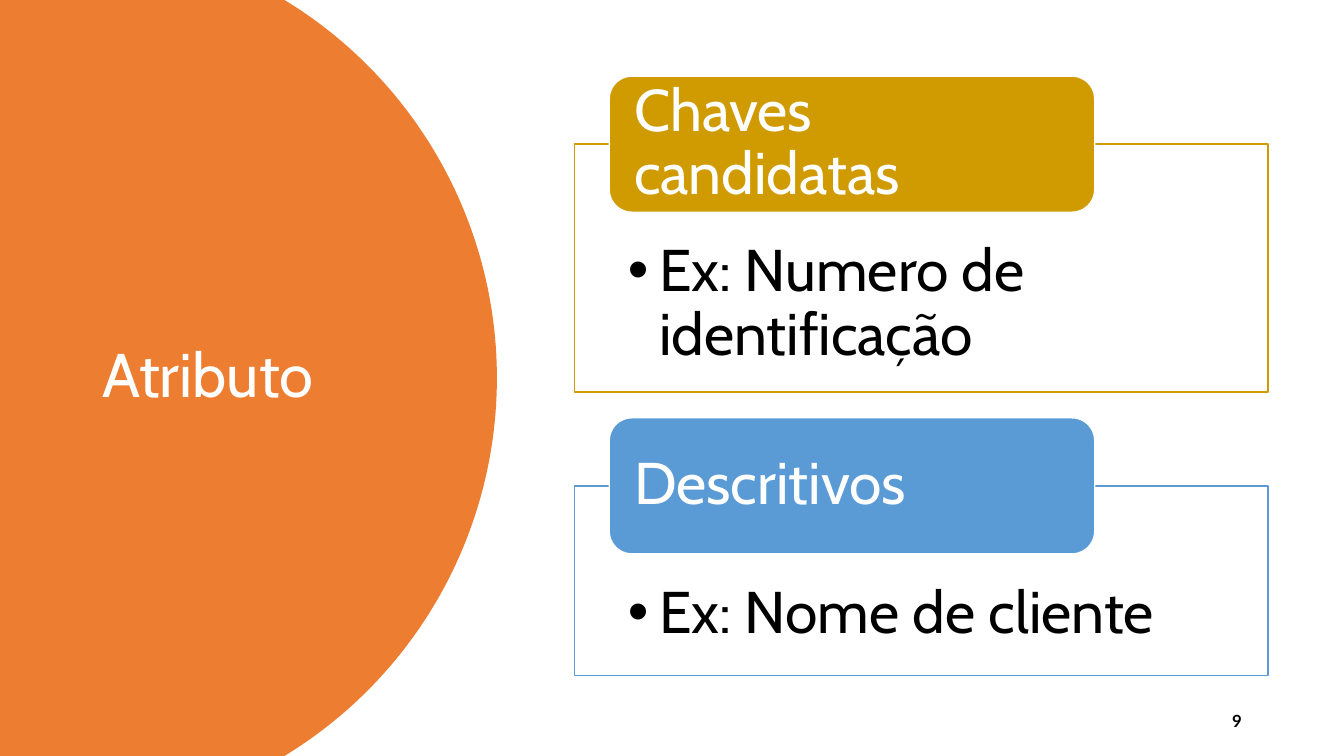
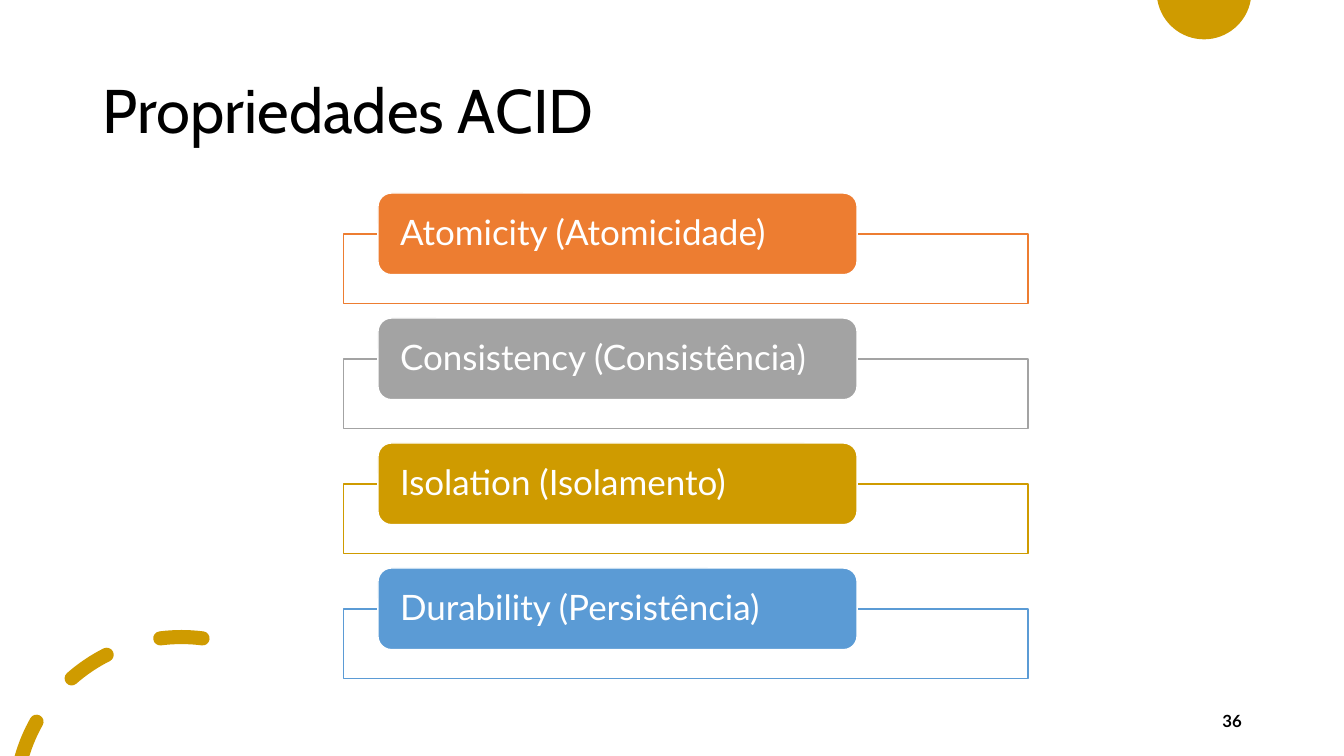
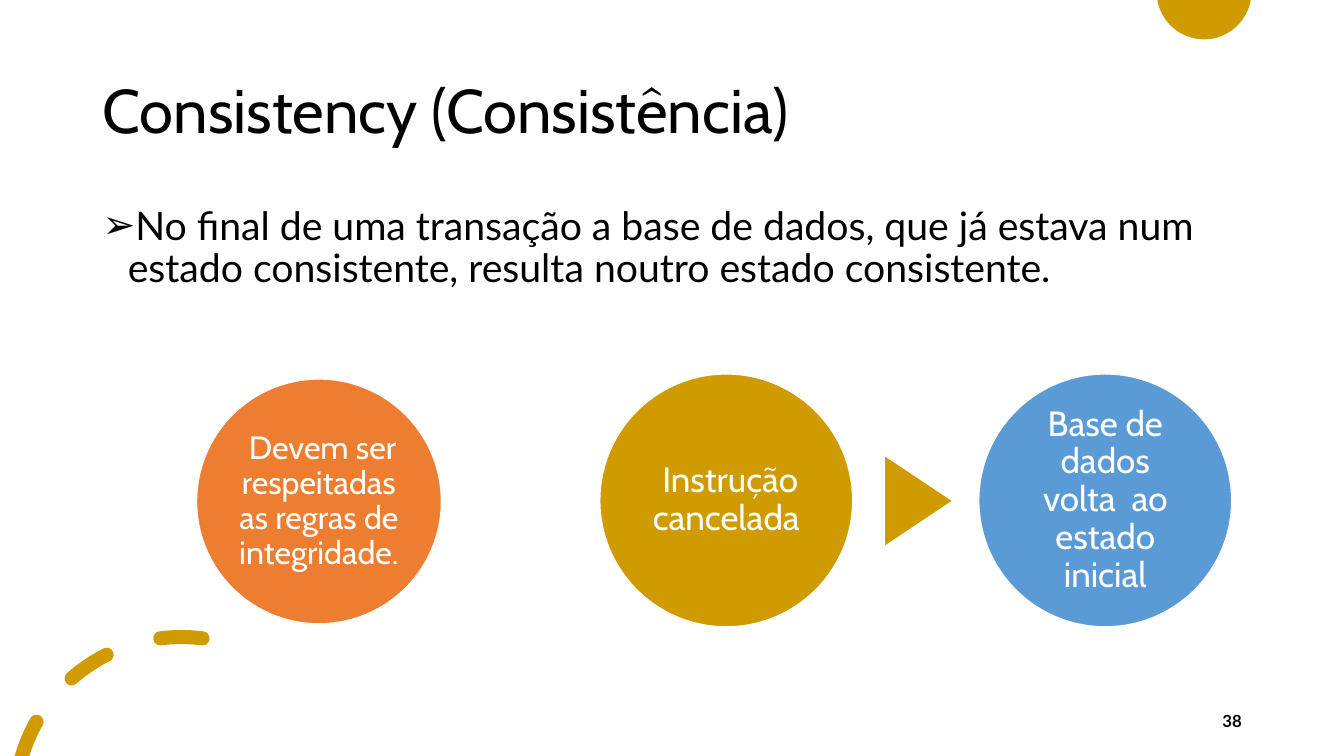
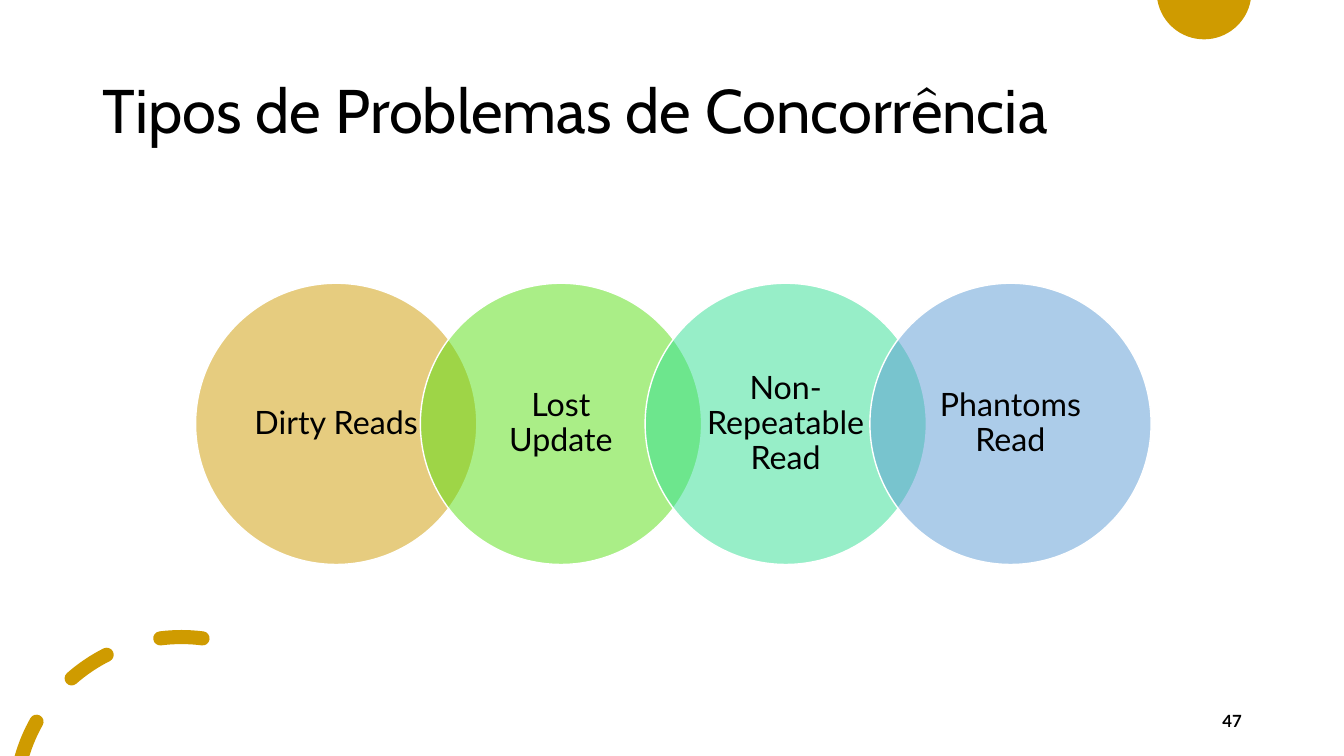
import math

from lxml import etree
from pptx import Presentation
from pptx import util as u
from pptx.dml import color
from pptx.enum import shapes, text
from pptx.oxml import ns

PX = 9144  # 100 px to the inch
WIDTH, HEIGHT = 1333, 750
COLORS = {
    "white": "FFFFFF", "black": "000000", "gold": "CF9B00", "orange": "ED7D31",
    "grey": "A3A3A3", "blue": "5B9BD5", "green": "57DF10", "mint": "31DF93",
}
HEAD, BODY = "Cabin", "Lato"
ALIGN, ANCHOR = text.PP_ALIGN, text.MSO_ANCHOR
KIND = shapes.MSO_SHAPE


def emu(*lengths):
    return [u.Emu(round(length * PX)) for length in lengths]


def rgb(name):
    return color.RGBColor.from_string(COLORS[name])


def add_bullet(para, mark, indent):
    props = para._p.get_or_add_pPr()
    props.set("marL", str(indent * PX))
    props.set("indent", str(-indent * PX))
    etree.SubElement(props, ns.qn("a:buFont")).set("typeface", "Arial")
    etree.SubElement(props, ns.qn("a:buChar")).set("char", mark)


def write(box, words, size, font=BODY, ink="black", bold=False, align=ALIGN.LEFT,
          anchor=ANCHOR.MIDDLE, insets=(10, 5, 10, 5), spacing=0.9,
          bullet=None, indent=0, tail=None):
    """Fill the box with one paragraph; tail is an extra (words, font) span."""
    frame = box.text_frame
    frame.word_wrap = True
    frame.auto_size = text.MSO_AUTO_SIZE.NONE
    frame.vertical_anchor = anchor
    (frame.margin_left, frame.margin_top,
     frame.margin_right, frame.margin_bottom) = emu(*insets)
    para = frame.paragraphs[0]
    para.alignment, para.line_spacing = align, spacing
    if bullet:
        add_bullet(para, bullet, indent)
    for part, face in [(words, font)] + ([tail] if tail else []):
        span = para.add_run()
        span.text = part
        span.font.name, span.font.size, span.font.bold = face, u.Pt(size), bold
        span.font.color.rgb = rgb(ink)


def paint(shape, fill, line=None, opacity=100):
    shape.shadow.inherit = False
    shape.fill.solid()
    shape.fill.fore_color.rgb = rgb(fill)
    if opacity < 100:
        tint = shape.fill._xPr.find(".//" + ns.qn("a:srgbClr"))
        etree.SubElement(tint, ns.qn("a:alpha")).set("val", str(opacity * 1000))
    if line:
        shape.line.color.rgb = rgb(line)
        shape.line.width = u.Pt(1)
    else:
        shape.line.fill.background()
    return shape


def add_shape(page, kind, box, fill, **style):
    return paint(page.shapes.add_shape(kind, *emu(*box)), fill, **style)


def polar(center, radius, degrees):
    """Point on a circle; degrees run clockwise from the right."""
    angle = math.radians(degrees)
    return center[0] + radius * math.cos(angle), center[1] + radius * math.sin(angle)


def arc(center, radius, start, end, pieces=1):
    """Bezier steps (two handles and an end point) along a circle."""
    sweep = (end - start) / pieces
    reach = math.hypot(1, 4 / 3 * math.tan(math.radians(sweep) / 4)) * radius
    lean = math.degrees(math.atan(4 / 3 * math.tan(math.radians(sweep) / 4)))
    stops = [start + sweep * i for i in range(pieces + 1)]
    return [(polar(center, reach, a + lean), polar(center, reach, b - lean),
             polar(center, radius, b)) for a, b in zip(stops, stops[1:])]


def add_outline(page, contours, fill):
    """One shape of closed contours; each is a start and steps of 1 or 3 points."""
    builder = page.shapes.build_freeform(*emu(*contours[0][0]))
    for i, (start, steps) in enumerate(contours):
        if i:
            builder.move_to(*emu(*start))
        builder.add_line_segments([emu(*point) for step in steps for point in step],
                                  close=True)
    shape = paint(builder.convert_to_shape(), fill)
    # Join each step of three points into a curve
    lines = iter(list(shape._element.iter(ns.qn("a:lnTo"))))
    for _, steps in contours:
        for step in steps:
            group = [next(lines) for _ in step]
            if len(group) == 3:
                curve = etree.Element(ns.qn("a:cubicBezTo"))
                group[0].addprevious(curve)
                for line in group:
                    curve.append(line[0])
                    line.getparent().remove(line)
    return shape


def add_decoration(page, layout):
    """Draw the shared ornaments and hand them to the layout."""
    # Half-hidden disc at the top edge
    center = (1194.5, -8)
    disc = add_outline(page, [(polar(center, 47, 10), arc(center, 47, 10, 170, 2))], "gold")
    # Dashes of one circle at the lower left; the first is cut by the edge
    center, radius, half = (180, 797), 165, 7
    outer, inner = radius + half, radius - half
    contours = []
    for outer_start, inner_start, end in ((195.9, 197.3, 209.4),
                                          (228.7, 228.7, 243.3), (262.7, 262.7, 277.3)):
        steps = (arc(center, outer, outer_start, end)
                 + arc(polar(center, radius, end), half, end, end + 180, 2)
                 + arc(center, inner, end, inner_start))
        if outer_start == inner_start:
            steps += arc(polar(center, radius, inner_start), half,
                         inner_start + 180, inner_start + 360, 2)
        contours.append((polar(center, outer, outer_start), steps))
    dashes = add_outline(page, contours, "gold")
    for ornament in (disc, dashes):
        layout.shapes._spTree.append(ornament._element)


def add_title(page, words, box, ink="black"):
    title = page.shapes.title
    title.left, title.top, title.width, title.height = emu(*box)
    write(title, words, 44, font=HEAD, ink=ink)
    title._element.getparent().append(title._element)  # bring to front


def add_number(page, number):
    box = page.shapes.add_textbox(*emu(942, 695, 300, 40))
    write(box, str(number), 12, bold=True, align=ALIGN.RIGHT, spacing=1.0)


def add_page(deck):
    return deck.slides.add_slide(deck.slide_layouts[5])


def add_content_page(deck, words):
    page = add_page(deck)
    add_title(page, words, (92, 40, 1150, 145))
    return page


def add_card(page, box, tab_height, tint, heading, size, font, example=None, tail=None):
    """Outlined frame with a tab centred on its top edge."""
    left, top, width, height = box
    frame = add_shape(page, KIND.RECTANGLE, box, "white", line=tint, opacity=90)
    if example:
        write(frame, example, size, font=font, anchor=ANCHOR.TOP,
              insets=(53, 96, 53, 33), bullet="•", indent=31)
    tab = add_shape(page, KIND.ROUNDED_RECTANGLE,
                    (left + width * 0.05, top - tab_height / 2, width * 0.7, tab_height),
                    tint, line="white")
    write(tab, heading, size, font=font, ink="white", insets=(18, 0, 18, 0), tail=tail)


def add_disc(page, left, top, size, tint, words, points, font=HEAD, ink="white",
             side=3, opacity=100):
    disc = add_shape(page, KIND.OVAL, (left, top, size, size), tint,
                     line="white", opacity=opacity)
    write(disc, words, points, font=font, ink=ink, align=ALIGN.CENTER,
          insets=(side, 3, side, 3))


def build_attribute(deck):
    page = add_page(deck)
    add_decoration(page, deck.slide_layouts[5])
    # White ground, then an orange panel bounded by a large circle
    add_shape(page, KIND.RECTANGLE, (0, 0, WIDTH + 1 / 3, HEIGHT), "white")
    center, radius = (54, HEIGHT / 2), 439
    reach = math.degrees(math.asin(HEIGHT / 2 / radius))
    add_outline(page, [((0, 0), [(polar(center, radius, -reach),)]
                        + arc(center, radius, -reach, reach, 2)
                        + [((0, HEIGHT),)])], "orange")
    add_title(page, "Atributo", (92, 70, 323, 609), ink="white")
    for top, height, tint, heading, example in (
            (143, 246, "gold", "Chaves candidatas", "Ex: Numero de identificação"),
            (482, 188, "blue", "Descritivos", "Ex: Nome de cliente")):
        add_card(page, (570, top, 688, height), 135, tint, heading, 42, HEAD, example)
    add_number(page, 9)


def build_acid(deck):
    page = add_content_page(deck, "Propriedades ACID")
    cards = (("orange", "Atomicity (Atomicidade)", None),
             ("grey", "Consistency (Consistência", (")", HEAD)),
             ("gold", "Isolation (Isolamento)", None),
             ("blue", "Durability (Persistência)", None))
    for i, (tint, heading, tail) in enumerate(cards):
        add_card(page, (341, 232 + 124 * i, 679, 69), 81, tint, heading, 25, BODY, tail=tail)
    add_number(page, 36)


def build_consistency(deck):
    page = add_content_page(deck, "Consistency (Consistência)")
    body = page.shapes.add_textbox(*emu(92, 200, 1150, 422))
    write(body, "No final de uma transação a base de dados, que já estava num estado "
          "consistente, resulta noutro estado consistente.", 28,
          anchor=ANCHOR.TOP, bullet="➢", indent=25)
    # Rule, then cancelled instruction leading back to the initial state
    add_disc(page, 195, 376, 243, "orange",
             " Devem ser respeitadas as regras de integridade.", 23)
    add_disc(page, 595, 371, 251, "gold", " Instrução cancelada", 25)
    arrow = add_shape(page, KIND.ISOSCELES_TRIANGLE, (867, 464, 88, 66), "gold")
    arrow.rotation = 90
    add_disc(page, 971, 371, 251, "blue", "Base de dados volta  ao estado inicial", 25,
             side=8)
    add_number(page, 38)


def build_concurrency(deck):
    page = add_content_page(deck, "Tipos de Problemas de Concorrência")
    problems = (("gold", "Dirty Reads"), ("green", "Lost Update"),
                ("mint", "Non-Repeatable Read"), ("blue", "Phantoms Read"))
    for i, (tint, words) in enumerate(problems):
        add_disc(page, 194 + 223 * i, 281, 279, tint, words, 23, font=BODY,
                 ink="black", side=15, opacity=50)
    add_number(page, 47)


def main():
    deck = Presentation()
    deck.slide_width, deck.slide_height = emu(WIDTH + 1 / 3, HEIGHT)
    for build in (build_attribute, build_acid, build_consistency, build_concurrency):
        build(deck)
    deck.save("out.pptx")


if __name__ == "__main__":
    main()
